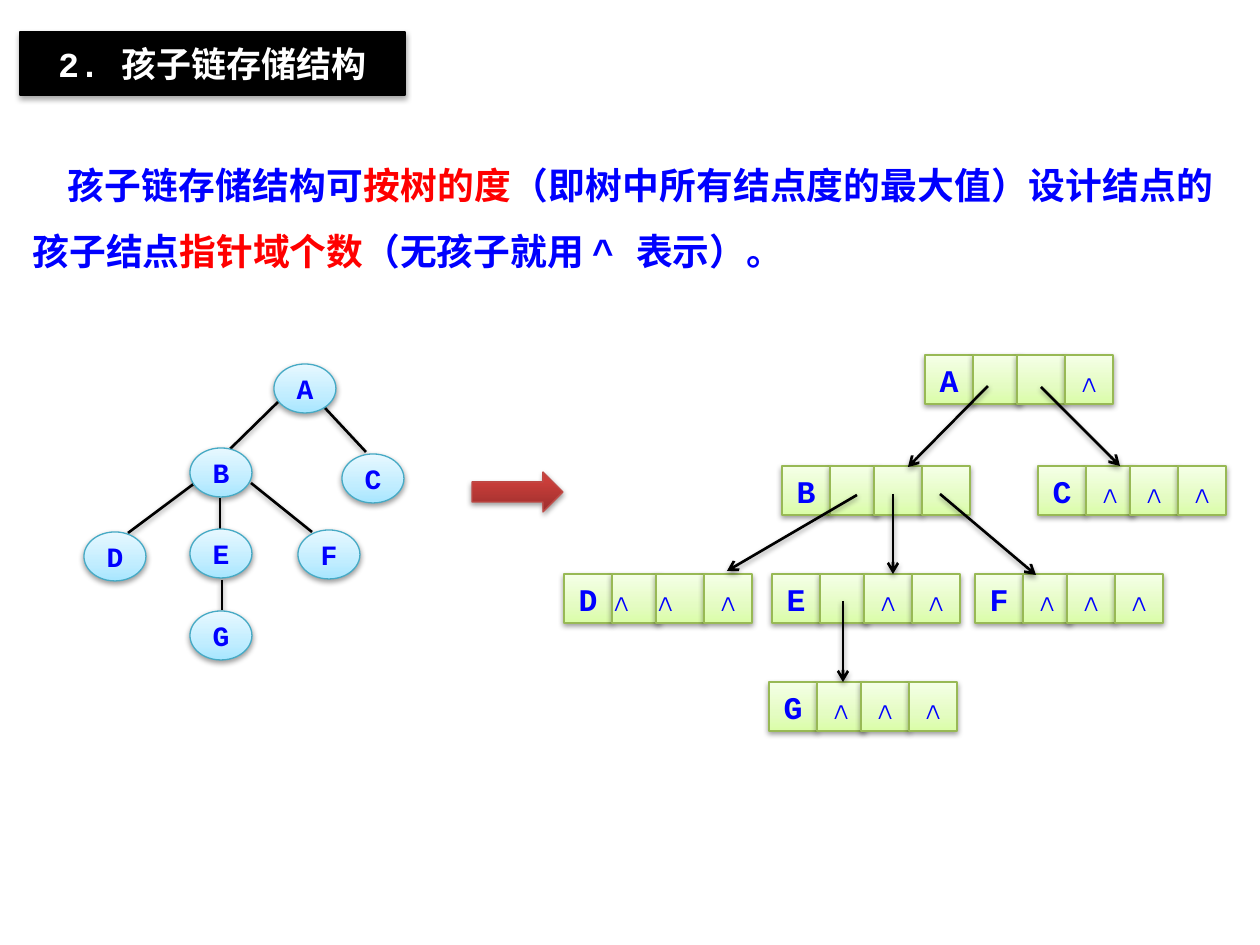
from lxml import etree
from pptx import Presentation
from pptx.dml.color import RGBColor
from pptx.enum.shapes import MSO_CONNECTOR, MSO_SHAPE
from pptx.enum.text import MSO_ANCHOR, MSO_AUTO_SIZE, PP_ALIGN
from pptx.oxml.ns import qn
from pptx.util import Pt

PX = 914400 / 126
FONT = "Courier New"
BLACK, WHITE, BLUE, RED = "000000", "FFFFFF", "0000FF", "FF0000"
SKY = [(0, "A7E6FF"), (35, "C1EDFF"), (100, "E7F8FF")]
LIME = [(0, "DAFDA7"), (35, "E4FCC2"), (100, "F5FFE7")]
BRICK = [(0, "9C2F2D"), (80, "CB3E3A"), (100, "CE3B37")]
LEFT, CENTER, JUSTIFY = PP_ALIGN.LEFT, PP_ALIGN.CENTER, PP_ALIGN.JUSTIFY
OVAL, RECT, ARROW = MSO_SHAPE.OVAL, MSO_SHAPE.RECTANGLE, MSO_SHAPE.RIGHT_ARROW
rgb = RGBColor.from_string


def add_shadow(shape, distance, opacity):
    effects = etree.SubElement(shape._element.spPr, qn("a:effectLst"))
    shadow = etree.SubElement(effects, qn("a:outerShdw"), blurRad="40000",
                              dist=str(distance), dir="5400000", rotWithShape="0")
    color = etree.SubElement(shadow, qn("a:srgbClr"), val=BLACK)
    etree.SubElement(color, qn("a:alpha"), val=str(opacity * 1000))


def add_block(preset, x, y, w, h, stops, outline, text="", size=16, align=CENTER, spacing=None):
    block = slide.shapes.add_shape(preset, *[round(v * PX) for v in (x, y, w, h)])
    gradient = etree.SubElement(block._element.spPr, qn("a:gradFill"), rotWithShape="1")
    stop_list = etree.SubElement(gradient, qn("a:gsLst"))
    for position, color in stops:
        stop = etree.SubElement(stop_list, qn("a:gs"), pos=str(position * 1000))
        etree.SubElement(stop, qn("a:srgbClr"), val=color)
    etree.SubElement(gradient, qn("a:lin"), ang="16200000", scaled="0")
    block.line.color.rgb = rgb(outline)
    block.line.width = Pt(0.75)
    add_shadow(block, 20000, 38)
    if text:
        frame = block.text_frame
        frame.margin_left = frame.margin_right = frame.margin_top = frame.margin_bottom = 0
        frame.vertical_anchor = MSO_ANCHOR.MIDDLE
        label = frame.paragraphs[0]
        label.alignment = align
        label.line_spacing = spacing
        run = label.add_run()
        run.text = text
        run.font.name, run.font.size, run.font.bold = FONT, Pt(size), True
        run.font.color.rgb = rgb(BLUE)


prs = Presentation()
prs.slide_width, prs.slide_height = round(1260 * PX), round(945 * PX)
slide = prs.slides.add_slide(prs.slide_layouts[1])

# Heading bar and explanation
heading, explanation = slide.shapes.title, slide.placeholders[1]
heading.fill.solid()
heading.fill.fore_color.rgb = rgb(BLACK)
heading.line.color.rgb = rgb(BLACK)
heading.line.width = Pt(0.75)
add_shadow(heading, 23000, 35)
heading.text_frame.margin_top = heading.text_frame.margin_bottom = round(10 * PX)

first = explanation.text_frame.paragraphs[0]
first.line_spacing = 1.5
properties = first._p.get_or_add_pPr()
properties.set("marL", "0")
properties.set("indent", str(round(35 * PX)))
etree.SubElement(properties, qn("a:buNone"))

passages = [
    (heading, (20, 32, 385, 63), 20, CENTER, [("2. 孩子链存储结构", WHITE)]),
    (explanation, (20, 134, 1206, 139), 21, JUSTIFY, [
        ("孩子链存储结构可", BLUE), ("按树的度", RED),
        ("（即树中所有结点度的最大值）设计结点的孩子结点", BLUE),
        ("指针域个数", RED), ("（无孩子就用 ^ 表示）。", BLUE)]),
]
for holder, bounds, size, align, runs in passages:
    holder.left, holder.top, holder.width, holder.height = [round(v * PX) for v in bounds]
    holder.text_frame.word_wrap = True
    holder.text_frame.auto_size = MSO_AUTO_SIZE.NONE
    paragraph = holder.text_frame.paragraphs[0]
    paragraph.alignment = align
    paragraph.space_before = Pt(0)
    for text, color in runs:
        run = paragraph.add_run()
        run.text = text
        run.font.name, run.font.size, run.font.bold = FONT, Pt(size), True
        run.font.color.rgb = rgb(color)

# Child-chain records: a data field and three pointer fields
records = [
    ("A", 925, 355, ["", "", "∧"]), ("B", 782, 466, ["", "", ""]),
    ("C", 1038, 466, ["∧"] * 3), ("D", 564, 574, ["∧"] * 3),
    ("E", 772, 574, ["", "∧", "∧"]), ("F", 975, 574, ["∧"] * 3),
    ("G", 769, 682, ["∧"] * 3),
]
for name, x, y, pointers in records:
    for column, (offset, field) in enumerate(zip((0, 48, 92, 140), [name] + pointers)):
        align = LEFT if name == "D" and column in (1, 2) else CENTER
        add_block(RECT, x + offset, y, 48, 49, LIME, "98B955", field, 18, align, Pt(22))

# Tree edges, then pointers with arrowheads
edges = [(195, 483, 128, 533), (222, 580, 222, 610), (278, 402, 229, 450),
         (325, 408, 366, 452), (220, 498, 220, 529), (251, 483, 312, 532)]
pointer_links = [(988, 386, 908, 467), (1041, 387, 1120, 466), (857, 495, 727, 571),
                 (843, 601, 843, 682), (893, 494, 893, 574), (940, 494, 1036, 575)]
for ends in edges + pointer_links:
    link = slide.shapes.add_connector(MSO_CONNECTOR.STRAIGHT, *[round(v * PX) for v in ends])
    link.line.color.rgb = rgb(BLACK)
    link.line.width = Pt(1.5)
    if ends in pointer_links:
        etree.SubElement(link.line._get_or_add_ln(), qn("a:tailEnd"), type="arrow")
    add_shadow(link, 20000, 38)

# Tree nodes
tree = [("A", 274, 364), ("B", 190, 448), ("C", 342, 454), ("F", 298, 530),
        ("D", 84, 532), ("E", 190, 529), ("G", 190, 611)]
for name, x, y in tree:
    add_block(OVAL, x, y, 62, 49, SKY, "46AAC5", name)

# Arrow from the tree to its storage structure
add_block(ARROW, 472, 472, 91, 40, BRICK, "BF4C48")

prs.save("out.pptx")
